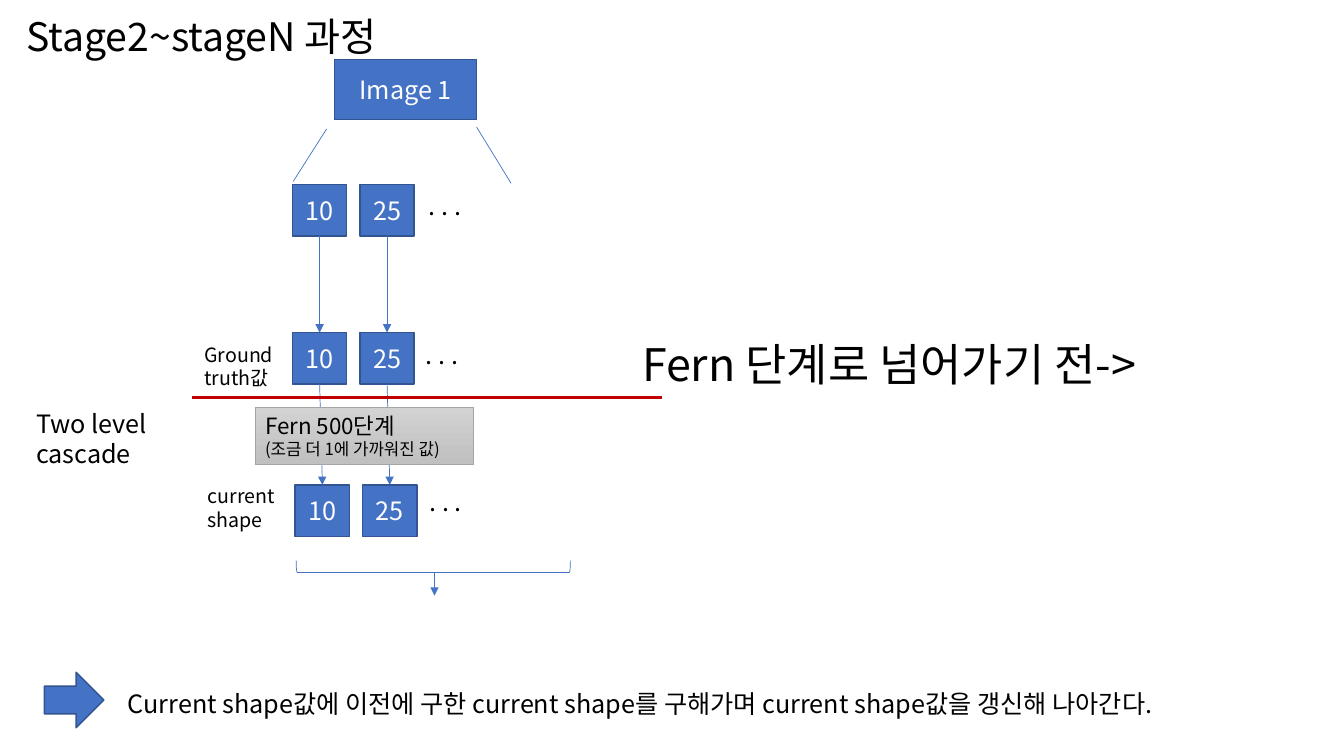
from lxml.etree import SubElement
from pptx import Presentation
from pptx.dml.color import RGBColor
from pptx.enum.shapes import MSO_CONNECTOR, MSO_SHAPE
from pptx.enum.text import MSO_ANCHOR, MSO_AUTO_SIZE, PP_ALIGN
from pptx.oxml.ns import qn
from pptx.util import Cm, Pt

FONT = "Noto Sans CJK KR"
BLACK = RGBColor(0x00, 0x00, 0x00)
WHITE = RGBColor(0xFF, 0xFF, 0xFF)
BLUE = RGBColor(0x44, 0x72, 0xC4)
DARK_BLUE = RGBColor(0x32, 0x54, 0x91)
RED = RGBColor(0xC0, 0x00, 0x00)
GRAY = RGBColor(0xA5, 0xA5, 0xA5)
LIGHT_GRAY = RGBColor(0xD2, 0xD2, 0xD2)
MID_GRAY = RGBColor(0xC0, 0xC0, 0xC0)

NODE_WIDTH, NODE_HEIGHT, NODE_PITCH = 1.37, 1.3, 1.7
NODE_LABELS = ("10", "25")
# Left and top of each row in the cascade, then the offset of its dots
NODE_ROWS = (
    (2.52, 3.15, 3.19, 0.03),
    (2.52, 6.88, 3.11, 0.05),
    (2.59, 10.72, 3.14, -0.1),
)


def write_text(shape, lines, color=BLACK, align=PP_ALIGN.LEFT, anchor=MSO_ANCHOR.TOP):
    """Fill the shape with one paragraph for each (text, size) pair."""
    frame = shape.text_frame
    frame.word_wrap = True
    frame.vertical_anchor = anchor
    for index, (text, size) in enumerate(lines):
        paragraph = frame.add_paragraph() if index else frame.paragraphs[0]
        paragraph.alignment = align
        paragraph.line_spacing = Pt(size * 1.2)
        paragraph.space_before = Pt(0)
        run = paragraph.add_run()
        run.text = text
        run.font.size = Pt(size)
        run.font.name = FONT
        run.font.color.rgb = color
        SubElement(run.font._element, qn("a:ea"), typeface=FONT)


def add_text(slide, left, top, width, height, *lines):
    box = slide.shapes.add_textbox(Cm(left), Cm(top), Cm(width), Cm(height))
    write_text(box, lines)
    return box


def add_blue_shape(slide, kind, left, top, width, height, label=""):
    shape = slide.shapes.add_shape(kind, Cm(left), Cm(top), Cm(width), Cm(height))
    shape.shadow.inherit = False
    shape.fill.solid()
    shape.fill.fore_color.rgb = BLUE
    shape.line.color.rgb = DARK_BLUE
    shape.line.width = Pt(1)
    if label:
        write_text(shape, [(label, 18)], WHITE, PP_ALIGN.CENTER, MSO_ANCHOR.MIDDLE)


def add_line(slide, start, end, color=BLUE, width=0.5, arrow=False):
    line = slide.shapes.add_connector(
        MSO_CONNECTOR.STRAIGHT, Cm(start[0]), Cm(start[1]), Cm(end[0]), Cm(end[1]))
    line.line.color.rgb = color
    line.line.width = Pt(width)
    if arrow:
        SubElement(line.line._get_or_add_ln(), qn("a:tailEnd"), type="triangle")
    SubElement(line._element.spPr, qn("a:effectLst"))


def add_title(slide, left, top, width, height):
    title = slide.shapes.title
    title.left, title.top = Cm(left), Cm(top)
    title.width, title.height = Cm(width), Cm(height)
    write_text(title, [("Stage2~stageN 과정", 28)])
    title.text_frame.auto_size = MSO_AUTO_SIZE.NONE


def add_image_root(slide, left, top):
    add_blue_shape(slide, MSO_SHAPE.RECTANGLE, left + 3.58, top, 3.58, 1.52, "Image 1")
    add_line(slide, (left + 3.38, top + 1.75), (left + 2.54, top + 3.07))
    add_line(slide, (left + 7.16, top + 1.7), (left + 8.03, top + 3.12))


def add_node_rows(slide, left, top):
    """Draw the rows of nodes and the arrows from each row to the next."""
    for row_left, row_top, dots_left, dots_top in NODE_ROWS:
        x, y = left + row_left, top + row_top
        for index, label in enumerate(NODE_LABELS):
            add_blue_shape(slide, MSO_SHAPE.RECTANGLE, x + index * NODE_PITCH, y,
                           NODE_WIDTH, NODE_HEIGHT, label)
        add_text(slide, x + dots_left, y + dots_top, 2.5, 1.02, (". . .", 18))
    for upper, lower in zip(NODE_ROWS, NODE_ROWS[1:]):
        for index in range(len(NODE_LABELS)):
            center = left + NODE_WIDTH / 2 + index * NODE_PITCH
            add_line(slide, (center + upper[0], top + upper[1] + NODE_HEIGHT),
                     (center + lower[0], top + lower[1]), arrow=True)


def add_fern_step(slide, left, top, width, height):
    step = slide.shapes.add_shape(
        MSO_SHAPE.RECTANGLE, Cm(left), Cm(top), Cm(width), Cm(height))
    step.shadow.inherit = False
    step.fill.gradient()
    step.fill.gradient_angle = 270
    for stop, color in zip(step.fill.gradient_stops, (LIGHT_GRAY, MID_GRAY)):
        stop.color.rgb = color
    step.line.color.rgb = GRAY
    step.line.width = Pt(0.5)
    write_text(step, [("Fern 500단계", 16), ("(조금 더 1에 가까워진 값)", 12)])


def add_result_bracket(slide, left, top):
    bracket = slide.shapes.add_shape(
        MSO_SHAPE.LEFT_BRACKET, Cm(left + 5.92), Cm(top + 9.32), Cm(0.3), Cm(6.91))
    bracket.rotation = 270
    bracket.shadow.inherit = False
    bracket.fill.background()
    bracket.line.color.rgb = BLUE
    bracket.line.width = Pt(0.5)
    add_line(slide, (left + 6.1, top + 12.93), (left + 6.1, top + 13.51), arrow=True)


def add_cascade(slide, left, top, width):
    add_image_root(slide, left, top)
    add_node_rows(slide, left, top)
    add_text(slide, left + 0.05, top + 7.01, 2.49, 1.45, ("Ground truth값", 14))
    add_text(slide, left + 0.13, top + 10.57, 2.24, 1.45, ("current", 14), ("shape", 14))
    add_line(slide, (left, top + 8.51), (left + width, top + 8.51), RED, 2.5)
    add_fern_step(slide, left + 1.58, top + 8.76, 5.51, 1.45)
    add_result_bracket(slide, left, top)


def add_conclusion(slide, left, top, width):
    add_blue_shape(slide, MSO_SHAPE.RIGHT_ARROW, left, top, 1.5, 1.4)
    add_text(slide, left + 1.85, top + 0.28, width - 1.85, 1.02,
             ("Current shape값에 이전에 구한 current shape를 구해가며 "
              "current shape값을 갱신해 나아간다.", 18))


def main():
    presentation = Presentation()
    presentation.slide_width, presentation.slide_height = Cm(33.87), Cm(19.05)
    slide = presentation.slides.add_slide(presentation.slide_layouts[5])
    add_title(slide, 0.41, 0.18, 13.67, 1.45)
    add_cascade(slide, 4.85, 1.5, 11.84)
    add_text(slide, 0.66, 10.16, 3.81, 1.8, ("Two level", 18), ("cascade", 18))
    add_text(slide, 15.93, 8.36, 15.21, 1.63, ("Fern 단계로 넘어가기 전->", 32))
    add_conclusion(slide, 1.12, 16.94, 31.64)
    presentation.save("out.pptx")


if __name__ == "__main__":
    main()
